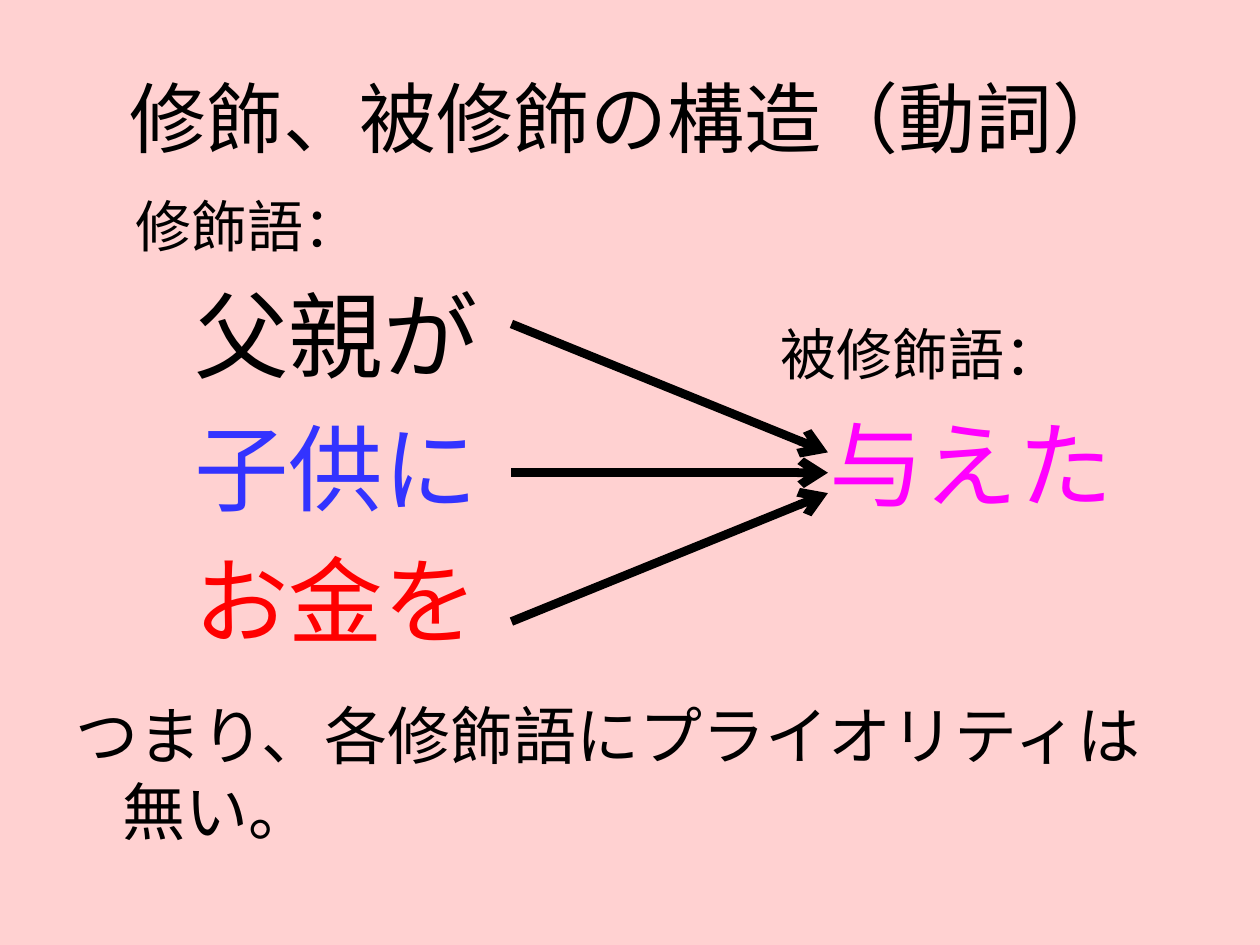
from lxml import etree
from pptx import Presentation
from pptx import util as u
from pptx.dml.color import RGBColor
from pptx.enum import shapes, text
from pptx.oxml.ns import qn

PINK = RGBColor(0xFF, 0xD1, 0xD1)
BLACK = RGBColor(0, 0, 0)
BLUE = RGBColor(0x33, 0x33, 0xFF)
RED = RGBColor(0xFF, 0, 0)
MAGENTA = RGBColor(0xFF, 0, 0xFF)
LEFT, RIGHT = text.PP_ALIGN.LEFT, text.PP_ALIGN.RIGHT


class Deck:
    font = "Calibri"
    indent = u.Cm(0.95)

    def __init__(self, width, height):
        self.prs = Presentation()
        self.prs.slide_width, self.prs.slide_height = u.Cm(width), u.Cm(height)
        self.slide = self.prs.slides.add_slide(self.prs.slide_layouts[5])
        fill = self.slide.background.fill
        fill.solid()
        fill.fore_color.rgb = PINK

    def style(self, para, size, color, align):
        para.alignment = align
        for run in para.runs:
            run.font.name = self.font
            run.font.size = u.Pt(size)
            run.font.color.rgb = color

    def title(self, words, box, size):
        head = self.slide.shapes.title
        head.left, head.top, head.width, head.height = map(u.Cm, box)
        frame = head.text_frame
        frame.text = words
        frame.vertical_anchor = text.MSO_ANCHOR.MIDDLE
        self.style(frame.paragraphs[0], size, BLACK, text.PP_ALIGN.CENTER)

    def lines(self, frame, rows):
        """Fill a frame with hanging paragraphs: words, size, colour, alignment."""
        frame.word_wrap = True
        frame.vertical_anchor = text.MSO_ANCHOR.TOP
        frame.text = "\n".join(row[0] for row in rows)
        for para, (_, size, color, align) in zip(frame.paragraphs, rows):
            self.style(para, size, color, align)
            para.space_before = u.Pt(round(size * 0.2, 1))
            props = para._p.get_or_add_pPr()
            props.set("marL", str(self.indent))
            props.set("indent", str(-self.indent))

    def panel(self, box, rows):
        rect = self.slide.shapes.add_shape(
            shapes.MSO_SHAPE.RECTANGLE, *map(u.Cm, box))
        rect.shadow.inherit = False
        rect.fill.solid()
        rect.fill.fore_color.rgb = PINK
        rect.line.fill.background()
        self.lines(rect.text_frame, rows)

    def note(self, box, rows):
        area = self.slide.shapes.add_textbox(*map(u.Cm, box))
        self.lines(area.text_frame, rows)

    def arrow(self, *ends):
        link = self.slide.shapes.add_connector(
            shapes.MSO_CONNECTOR.STRAIGHT, *map(u.Cm, ends))
        link.line.color.rgb = BLACK
        link.line.width = u.Pt(5)
        props = link._element.spPr
        etree.SubElement(props.find(qn("a:ln")), qn("a:tailEnd"), type="arrow")
        etree.SubElement(props, qn("a:effectLst"))


def main():
    deck = Deck(25.4, 19.05)
    deck.title("修飾、被修飾の構造（動詞）", (1.27, 0.76, 22.86, 3.18), 44)

    # Modified word on the right, modifiers on the left
    deck.panel((15.49, 6.32, 7.19, 5.21), [
        ("被修飾語：", 32, BLACK, LEFT),
        ("与えた", 54, MAGENTA, RIGHT),
    ])
    deck.panel((2.49, 3.73, 7.39, 10.21), [
        ("修飾語：", 32, BLACK, LEFT),
        ("父親が", 54, BLACK, RIGHT),
        ("子供に", 54, BLUE, RIGHT),
        ("お金を", 54, RED, RIGHT),
    ])

    # Arrows converging on the verb
    mid = 9.53
    for step in (-1, 0, 1):
        deck.arrow(10.31, mid + 3 * step, 16.69, mid + 0.41 * step)

    # Conclusion
    deck.note((1.27, 13.92, 22.86, 2.21), [
        ("つまり、各修飾語にプライオリティは無い。", 36, BLACK, LEFT),
    ])
    deck.prs.save("out.pptx")


if __name__ == "__main__":
    main()
